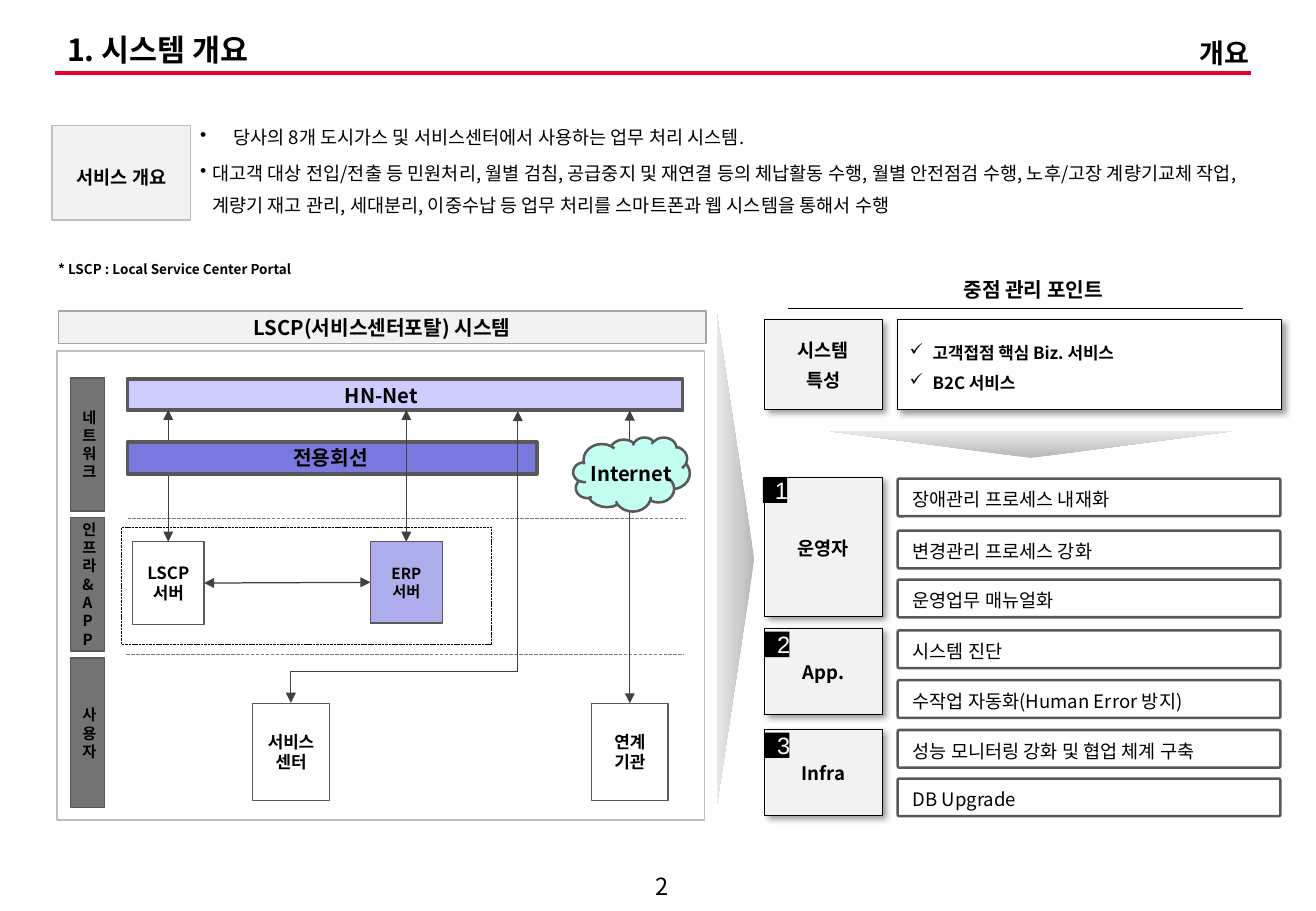
"""Build the system overview slide of the service center portal."""
from dataclasses import dataclass

from lxml.etree import SubElement
from pptx import Presentation
from pptx.dml.color import RGBColor
from pptx.enum.dml import MSO_LINE as Dash
from pptx.enum.shapes import MSO_CONNECTOR as Link, MSO_SHAPE as Kind
from pptx.enum.text import MSO_ANCHOR as Anchor, PP_ALIGN as Align
from pptx.oxml.ns import qn
from pptx.util import Pt


@dataclass(frozen=True)
class Theme:
    font: str = "Noto Sans CJK KR"
    badge_font: str = "Arial"
    black: str = "000000"
    white: str = "FFFFFF"
    red: str = "EA002C"
    panel: str = "F2F2F2"
    panel_edge: str = "BFBFBF"
    header_edge: str = "A6A6A6"
    edge: str = "595959"
    arrow: str = "404040"
    divider: str = "808080"
    layer: str = "737373"
    network: str = "CCCCFF"
    leased: str = "7878DE"
    erp: str = "ADADEB"
    cloud: str = "C2FFF0"
    fade_from: str = "B8B8B8"
    fade_to: str = "E9E9E9"
    title: int = 18
    section: int = 16
    number: int = 14
    heading: int = 12
    body: int = 11
    node: int = 10
    small: int = 9
    note: int = 8


theme = Theme()
rgb = RGBColor.from_string
deck = Presentation()
deck.slide_width, deck.slide_height = Pt(780), Pt(540)
slide = deck.slides.add_slide(deck.slide_layouts[5])


def place(spot, lines=(), size=theme.body, kind=Kind.RECTANGLE, fill=None, edge=None,
          weight=0.75, bold=True, color=theme.black, font=theme.font, align=Align.CENTER,
          anchor=Anchor.MIDDLE, insets=(7.2, 3.6, 7.2, 3.6), spacing=None, before=0,
          bullet=None, hang=0, shadow=False):
    left, top, width, height = map(Pt, spot)
    if kind == "title":
        shape = slide.shapes.title
        shape.left, shape.top, shape.width, shape.height = left, top, width, height
    elif kind == "text":
        shape = slide.shapes.add_textbox(left, top, width, height)
    else:
        shape = slide.shapes.add_shape(kind, left, top, width, height)
        shape.shadow.inherit = False
    if fill:
        shape.fill.solid()
        shape.fill.fore_color.rgb = rgb(fill)
    else:
        shape.fill.background()
    if edge:
        shape.line.color.rgb = rgb(edge)
        shape.line.width = Pt(weight)
    else:
        shape.line.fill.background()
    if shadow:
        effects = shape._element.spPr.find(qn("a:effectLst"))
        outer = SubElement(effects, qn("a:outerShdw"), blurRad=str(Pt(4)), dist=str(Pt(3)),
                           dir="2700000", algn="tl", rotWithShape="0")
        tone = SubElement(outer, qn("a:srgbClr"), val=theme.black)
        SubElement(tone, qn("a:alpha"), val="40000")
    frame = shape.text_frame
    frame.word_wrap = True
    frame.vertical_anchor = anchor
    frame.margin_left, frame.margin_top, frame.margin_right, frame.margin_bottom = map(Pt, insets)
    for index, line in enumerate(lines):
        paragraph = frame.add_paragraph() if index else frame.paragraphs[0]
        paragraph.alignment = align
        paragraph.space_before = Pt(before if index else 0)
        if spacing:
            paragraph.line_spacing = spacing
        if bullet:
            props = paragraph._p.get_or_add_pPr()
            props.set("marL", str(Pt(hang)))
            props.set("indent", str(-Pt(hang)))
            SubElement(props, qn("a:buChar"), char=bullet)
        run = paragraph.add_run()
        run.text = line
        run.font.size, run.font.bold, run.font.name = Pt(size), bold, font
        run.font.color.rgb = rgb(color)
        SubElement(run._r.get_or_add_rPr(), qn("a:ea"), typeface=font)
    return shape


def connect(start, end, color=theme.arrow, weight=0.75, arrows=False, dash=None, kind=Link.STRAIGHT):
    line = slide.shapes.add_connector(kind, *map(Pt, start + end))
    line.line.color.rgb = rgb(color)
    line.line.width = Pt(weight)
    if dash:
        line.line.dash_style = dash
    if arrows:
        for tip in ("a:headEnd", "a:tailEnd"):
            SubElement(line.line._get_or_add_ln(), qn(tip), type="triangle")
    SubElement(line._element.spPr, qn("a:effectLst"))
    return line


place((367, 514, 51, 22.5), ["2"], theme.number, "text", bold=False)
connect((32.5, 43.2), (741.5, 43.2), theme.red, 2.25)
place((32.5, 17.3, 578, 26.6), ["1. 시스템 개요"], theme.title, "title", align=Align.LEFT, spacing=0.9)
place((656.6, 18, 90.7, 26.6), ["개요"], theme.section, "text", align=Align.RIGHT, anchor=Anchor.TOP)

place((31, 74.5, 82, 56), ["서비스 개요"], fill=theme.panel, edge=theme.panel_edge, weight=1, spacing=1.35)
overview = place((111.6, 69.1, 651, 64), [
    "당사의 8개 도시가스 및 서비스센터에서 사용하는 업무 처리 시스템.",
    "대고객 대상 전입/전출 등 민원처리, 월별 검침, 공급중지 및 재연결 등의 체납활동 수행, "
    "월별 안전점검 수행, 노후/고장 계량기교체 작업, 계량기 재고 관리, 세대분리, "
    "이중수납 등 업무 처리를 스마트폰과 웹 시스템을 통해서 수행",
], kind="text", bold=False, align=Align.LEFT, anchor=Anchor.TOP, spacing=Pt(18.7), bullet="•", hang=7.2)
scope = overview.text_frame.paragraphs[0]
scope.line_spacing, scope.space_after = Pt(15), Pt(3)
scope._p.pPr.set("marL", str(Pt(19.5)))
scope._p.pPr.set("indent", str(-Pt(19.5)))
place((27.4, 151.2, 629, 17.3), ["* LSCP : Local Service Center Portal"], theme.note, "text",
      align=Align.LEFT, anchor=Anchor.TOP)

for spot, turn in (((289.4, 320.4, 293, 22.3), 90), ((491.8, 255.6, 238.3, 15.8), 180)):
    pointer = place(spot, kind=Kind.ISOSCELES_TRIANGLE)
    pointer.rotation = turn
    pointer.fill.gradient()
    pointer.fill.gradient_angle = 270
    for stop, tone in zip(pointer.fill.gradient_stops, (theme.fade_from, theme.fade_to)):
        stop.color.rgb = rgb(tone)

place((485.3, 159.1, 251.3, 24.5), ["중점 관리 포인트"], theme.heading, fill=theme.white,
      insets=(2.9, 3.6, 0, 3.6))
connect((467.3, 183), (736.6, 183), theme.black)
for top, height, lines in ((189.4, 53.3, ["시스템", "특성"]), (283, 82.1, ["운영자"]),
                           (372.2, 51.1, ["App."]), (432, 51.1, ["Infra"])):
    place((453.2, top, 69.8, height), lines, fill=theme.panel, edge=theme.black, weight=0.25,
          spacing=1.1, before=3.3, shadow=True)
place((532.1, 189.4, 227.5, 53.3), ["고객접점 핵심 Biz. 서비스", "B2C 서비스"], theme.node,
      fill=theme.white, edge=theme.black, align=Align.LEFT, insets=(7.2, 3.6, 7.2, 5.8),
      spacing=1.5, bullet="✓", hang=13.7, shadow=True)
for number, left, top in (("1", 452.2, 283), ("2", 453.6, 374.4), ("3", 453.6, 434.2)):
    place((left, top, 14.4, 15.1), [number], theme.number, fill=theme.black, bold=False,
          color=theme.white, font=theme.badge_font)
for top, task in ((283.7, "장애관리 프로세스 내재화"), (314.6, "변경관리 프로세스 강화"),
                  (343.6, "운영업무 매뉴얼화"), (373.7, "시스템 진단"),
                  (403.2, "수작업 자동화(Human Error 방지)"),
                  (432.7, "성능 모니터링 강화 및 협업 체계 구축"), (461.5, "DB Upgrade")):
    action = place((532.1, top, 226.8, 22.3), [task], kind=Kind.ROUNDED_RECTANGLE, fill=theme.white,
                   edge=theme.edge, weight=1.5, bold=False, align=Align.LEFT,
                   insets=(8.6, 5.8, 5.8, 3.6))
    action.adjustments[0] = 0.04

place((33.8, 208.1, 383.8, 278), fill=theme.white, edge=theme.panel_edge)
place((34.6, 184.3, 383.8, 19.4), ["LSCP(서비스센터포탈) 시스템"], theme.heading,
      fill=theme.panel, edge=theme.header_edge, weight=1)
for top, height, letters in ((223.9, 79.2, list("네트워크")), (306.7, 79.2, ["인프라&APP"]),
                             (390.2, 88.6, ["사용자"])):
    place((41.8, top, 20.2, height), letters, theme.small, fill=theme.layer, edge=theme.edge, weight=1)
for left, top in ((75.6, 307.4), (74.9, 388.1)):
    connect((left, top), (left + 330.5, top), theme.divider, dash=Dash.SQUARE_DOT)

place((75.6, 224.6, 329, 18.7), fill=theme.network, edge=theme.edge, weight=2.25)
place((172.1, 223.9, 108, 21.6), ["HN-Net"], theme.heading, "text", anchor=Anchor.TOP)
nodes = []
for spot, lines, size, fill in (
        ((78.5, 321.1, 42.5, 49), ["LSCP", "서버"], theme.node, theme.white),
        ((219.6, 321.1, 42.5, 48.2), ["ERP", "서버"], theme.small, theme.erp),
        ((350.6, 416.9, 45.4, 57.6), ["연계", "기관"], theme.node, theme.white),
        ((149.8, 416.9, 45.4, 57.6), ["서비스", "센터"], theme.node, theme.white)):
    nodes.append(place(spot, lines, size, fill=fill, edge=theme.edge, insets=(0, 3.6, 0, 3.6)))
lscp, erp, partner, center = nodes

connect((99.75, 243), (99.75, 321.1), arrows=True).end_connect(lscp, 0)
place((75.6, 262.1, 242.6, 18.7), fill=theme.leased, edge=theme.edge, weight=2.25)
place((74.2, 260.6, 243.4, 21.6), ["전용회선"], theme.heading, "text", anchor=Anchor.TOP)
connect((240.85, 243), (240.85, 321.1), arrows=True).end_connect(erp, 0)
connect((373.3, 243.4), (373.3, 416.9), arrows=True).end_connect(partner, 0)
exchange = connect((121, 345.6), (219.6, 345.2), arrows=True)
exchange.begin_connect(lscp, 3)
exchange.end_connect(erp, 1)
access = connect((153.2, 262.9), (326.1, 397.4), arrows=True, kind=Link.ELBOW)
access._element.spPr.find(qn("a:xfrm")).set("rot", "5400000")
bend = access._element.spPr.find(qn("a:prstGeom")).find(qn("a:avLst"))
SubElement(bend, qn("a:gd"), name="adj1", fmla="val 89300")

place((339.8, 259.2, 69.1, 43.9), kind=Kind.CLOUD, fill=theme.cloud, edge=theme.edge, weight=1.5)
place((337.7, 270, 72.7, 21.6), ["Internet"], theme.heading, "text", anchor=Anchor.TOP)
servers = place((72, 312.5, 219.6, 69.8), edge=theme.black, weight=0.5)
servers.line.dash_style = Dash.SQUARE_DOT

deck.save("out.pptx")
